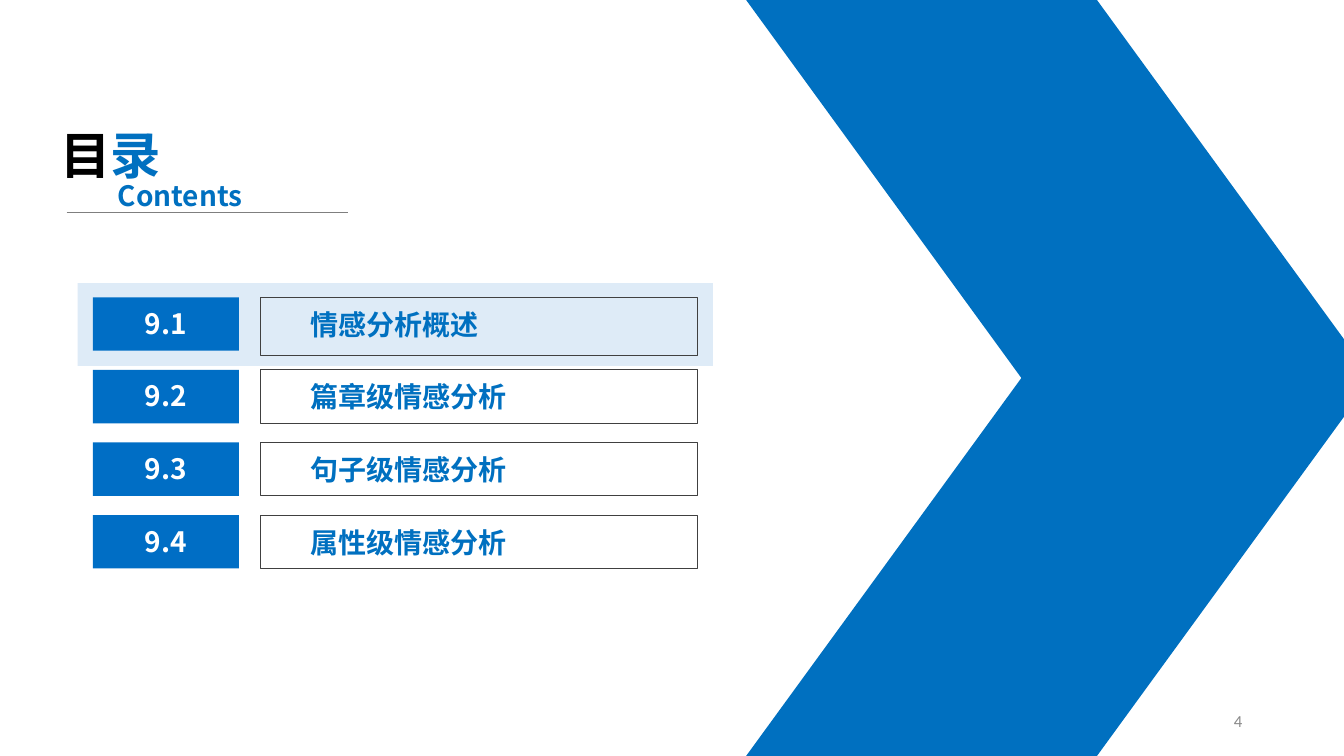
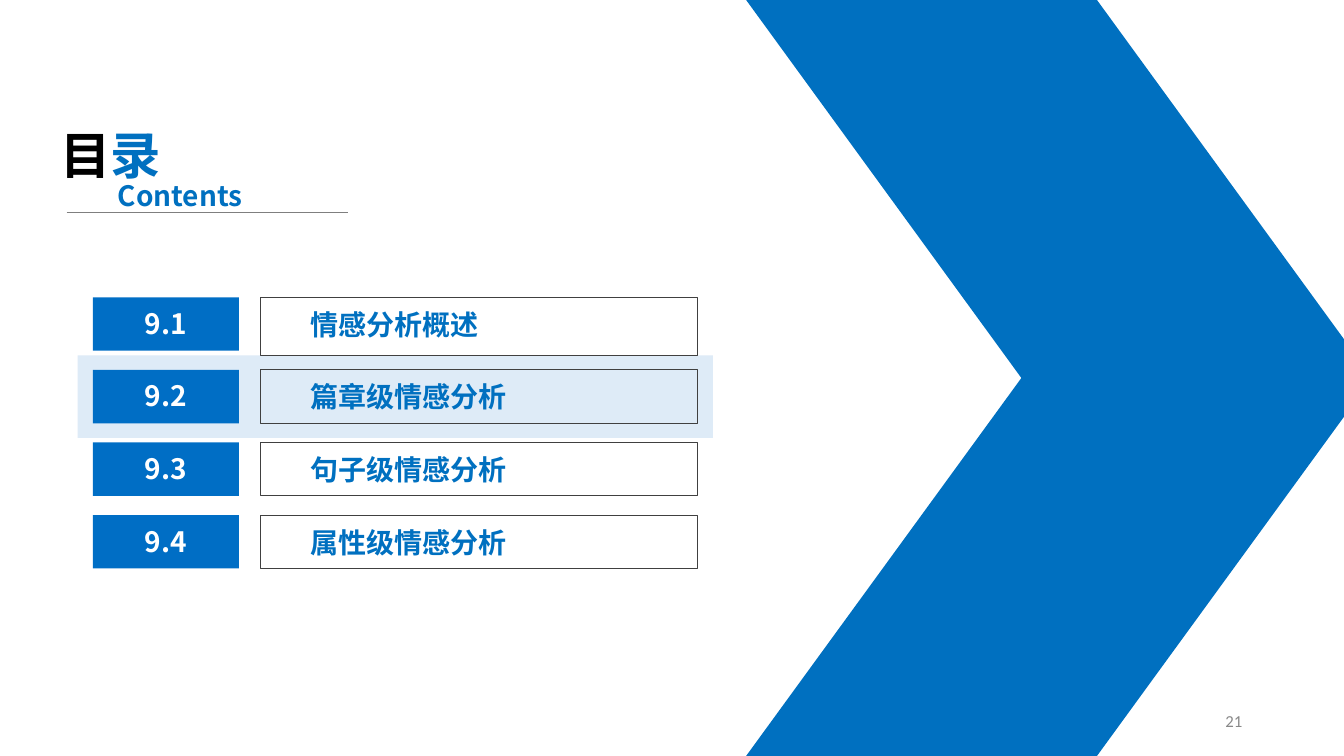
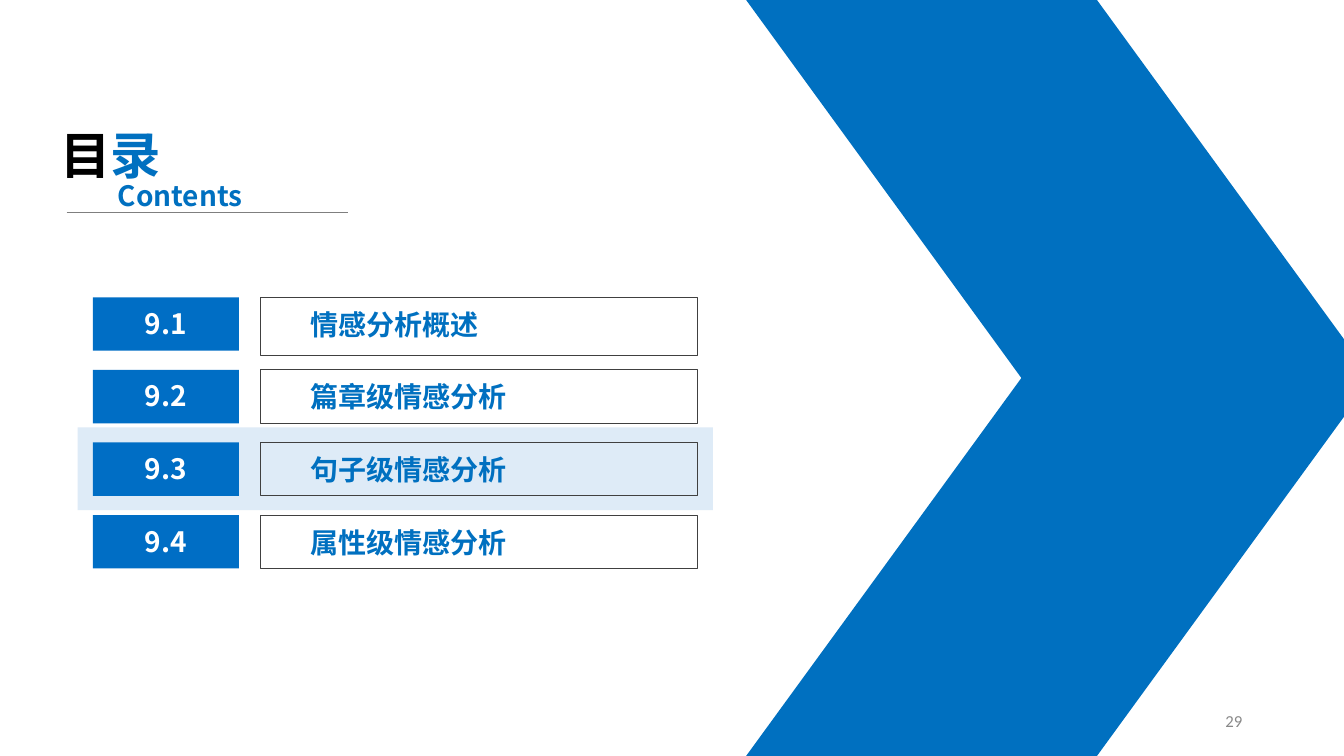
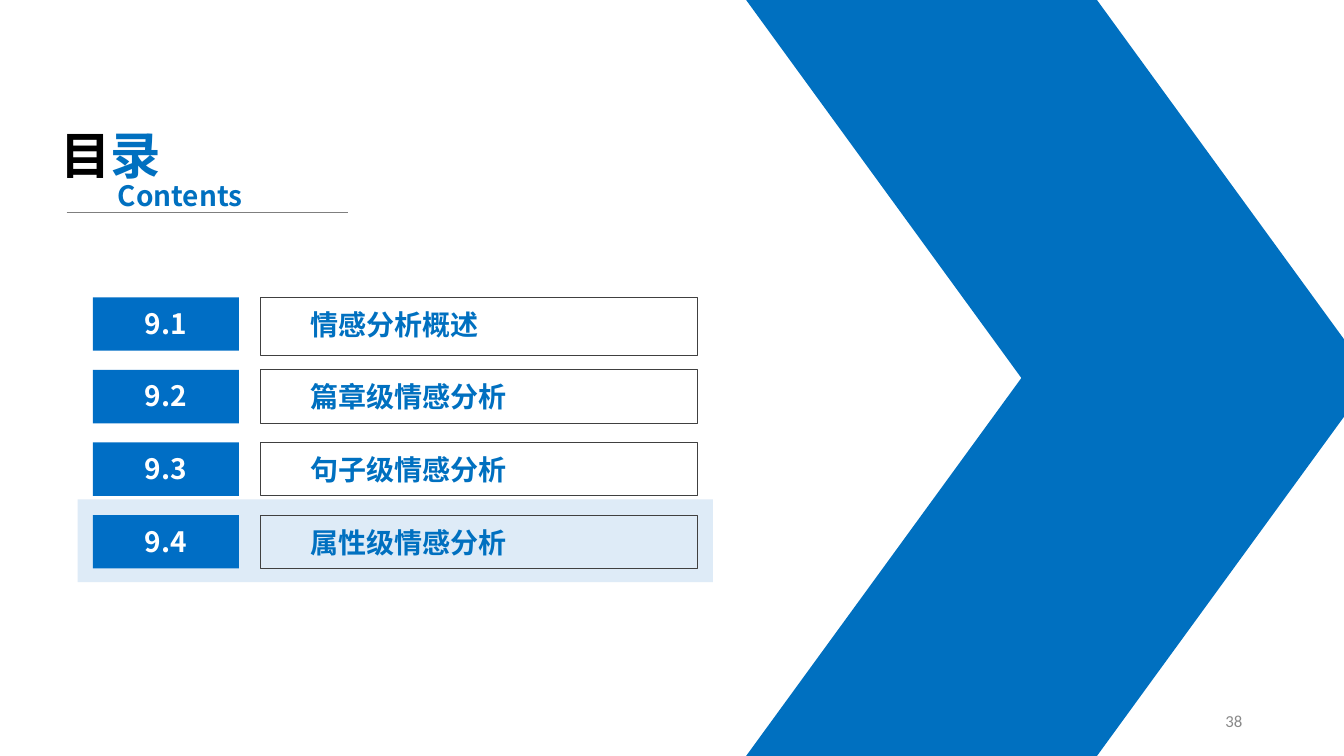
from lxml import etree
from pptx import Presentation
from pptx.dml.color import RGBColor
from pptx.enum.shapes import MSO_CONNECTOR, MSO_SHAPE
from pptx.enum.text import MSO_ANCHOR, MSO_AUTO_SIZE, PP_ALIGN
from pptx.oxml.ns import qn
from pptx.util import Inches, Pt

COLORS = {
    "blue": "0070C0", "badge": "006EC5", "highlight": "DEEBF7", "frame": "404040",
    "rule": "7F7F7F", "footer": "898989", "black": "000000", "white": "FFFFFF",
}
HEADING_FONT, FOOTER_FONT = "Noto Sans CJK SC", "Calibri"

SECTIONS = ["情感分析概述", "篇章级情感分析", "句子级情感分析", "属性级情感分析"]
PAGE_NUMBERS = [4, 21, 29, 38]
FIRST_ROW, ROW_STEP, ROW_HEIGHT = 2.95, 0.72, 0.53
FIRST_FRAME_HEIGHT = 0.58


def color(name):
    return RGBColor.from_string(COLORS[name])


class ContentsDeck:
    def __init__(self):
        self.deck = Presentation()
        self.deck.slide_width, self.deck.slide_height = Inches(13.33), Inches(7.5)
        self.page = None

    def new_page(self):
        self.page = self.deck.slides.add_slide(self.deck.slide_layouts[6])

    def shape(self, kind, left, top, width, height, fill=None, line=None):
        shape = self.page.shapes.add_shape(
            kind, Inches(left), Inches(top), Inches(width), Inches(height))
        shape.shadow.inherit = False
        if fill:
            shape.fill.solid()
            shape.fill.fore_color.rgb = color(fill)
        else:
            shape.fill.background()
        if line:
            shape.line.color.rgb = color(line)
            shape.line.width = Pt(0.75)
        else:
            shape.line.fill.background()
        return shape

    def text(self, left, top, width, height, spans, size=20, align=PP_ALIGN.LEFT,
             font=HEADING_FONT, bold=True):
        """Add one paragraph; spans is a list of (text, colour name)."""
        box = self.page.shapes.add_textbox(
            Inches(left), Inches(top), Inches(width), Inches(height))
        frame = box.text_frame
        frame.word_wrap = True
        frame.auto_size = MSO_AUTO_SIZE.SHAPE_TO_FIT_TEXT
        para = frame.paragraphs[0]
        para.alignment = align
        para.font.name, para.font.size, para.font.bold = font, Pt(size), bold
        if len(spans) == 1:
            para.font.color.rgb = color(spans[0][1])
        for words, tint in spans:
            span = para.add_run()
            span.text = words
            if len(spans) > 1:
                span.font.color.rgb = color(tint)
        # Chinese characters take their typeface from a:ea
        for latin in list(box.element.iter(qn("a:latin"))):
            east_asian = etree.Element(qn("a:ea"), typeface=font)
            latin.addnext(east_asian)
        return box

    def rule(self, left, right, top):
        line = self.page.shapes.add_connector(
            MSO_CONNECTOR.STRAIGHT, Inches(left), Inches(top), Inches(right), Inches(top))
        line.line.color.rgb = color("rule")
        line.line.width = Pt(0.5)
        etree.SubElement(line.element.spPr, qn("a:effectLst"))

    def chevron(self):
        for top, flipped in ((3.75, False), (0, True)):
            half = self.shape(MSO_SHAPE.PARALLELOGRAM, 7.4, top, 6.21, 3.75, fill="blue")
            half.adjustments[0] = 0.728
            if flipped:
                half.element.spPr.find(qn("a:xfrm")).set("flipV", "1")

    def heading(self):
        self.text(0.5, 1.18, 1.57, 0.71, [("目", "black"), ("录", "blue")], size=36)
        self.rule(0.66, 3.45, 2.11)
        self.text(1.07, 1.72, 1.57, 0.44, [("Contents", "blue")])

    def highlight(self, row):
        self.shape(MSO_SHAPE.RECTANGLE, 0.77, 2.81 + 0.715 * row, 6.3, 0.82,
                   fill="highlight")

    def section(self, row, title):
        top = FIRST_ROW + ROW_STEP * row
        frame_height = ROW_HEIGHT if row else FIRST_FRAME_HEIGHT
        self.shape(MSO_SHAPE.RECTANGLE, 2.58, top, 4.34, frame_height, line="frame")
        self.text(2.98, top + 0.05, 3.69, 0.44, [(title, "blue")])
        self.shape(MSO_SHAPE.RECTANGLE, 0.92, top, 1.45, ROW_HEIGHT, fill="badge")
        self.text(1.12, top + 0.04, 1.05, 0.44, [(f"9.{row + 1}", "white")],
                  align=PP_ALIGN.CENTER)

    def page_number(self, number):
        box = self.text(9.42, 6.95, 3, 0.4, [(str(number), "footer")], size=12,
                        align=PP_ALIGN.RIGHT, font=FOOTER_FONT, bold=False)
        box.text_frame.auto_size = MSO_AUTO_SIZE.NONE
        box.text_frame.vertical_anchor = MSO_ANCHOR.MIDDLE


def main():
    contents = ContentsDeck()
    for current, number in enumerate(PAGE_NUMBERS):
        contents.new_page()
        # Background
        contents.highlight(current)
        contents.chevron()
        # Heading and section list
        contents.heading()
        for row, title in enumerate(SECTIONS):
            contents.section(row, title)
        # Footer
        contents.page_number(number)
    contents.deck.save("out.pptx")


if __name__ == "__main__":
    main()
